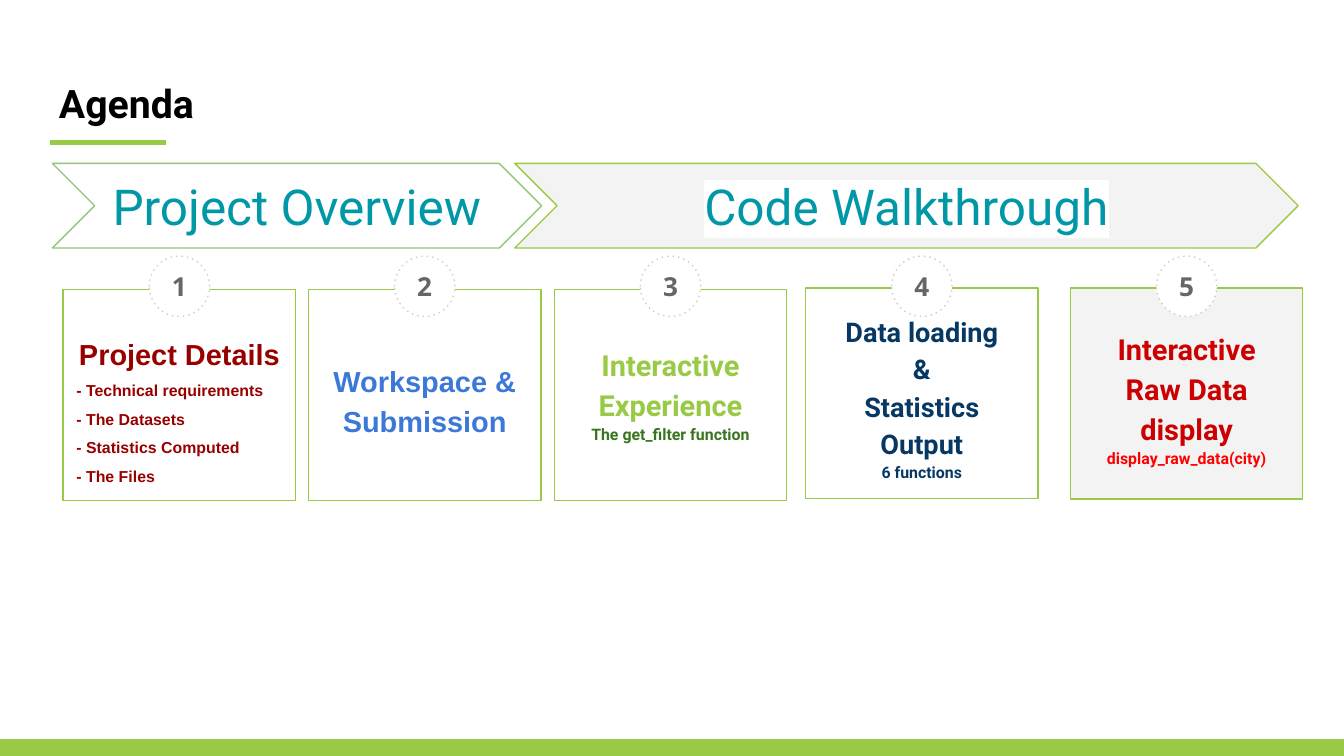
"""Build an agenda slide with two phases above five numbered cards."""
import pptx
import pptx.util
import pptx.dml.color
import pptx.enum.shapes
import pptx.enum.text
import lxml.etree

HUES = {
    "white": "FFFFFF", "black": "000000", "lime": "99CA45", "leaf": "93C47D",
    "mist": "F3F3F3", "dots": "CCCCCC", "gray": "666666", "teal": "0097A7",
    "wine": "980000", "blue": "3C78D8", "moss": "38761D", "navy": "073763",
    "brick": "CC0000", "red": "FF0000",
}
PHASES = [
    ("Project Overview", 3.9, 36.4, "white", "leaf"),
    ("Code Walkthrough", 38.3, 58.3, "mist", "lime"),
]
CARDS = [
    dict(left=4.7, top=21.53, fill="white", body=(0, 22.65, 14.6), font="Arial",
         gap=1.5, mark="white", heads=["Project Details"], size=15.5, hue="wine",
         notes=["- Technical requirements", "- The Datasets",
                "- Statistics Computed", "- The Files"],
         tint="wine", side="LEFT"),
    dict(left=22.95, top=21.53, fill="white", body=(0, 23.55, 12.2),
         font="Arial", mark="white", heads=["Workspace & Submission"],
         size=15.5, hue="blue"),
    dict(left=41.24, top=21.53, fill="white", body=(1, 24.7, 9.1),
         heads=["Interactive Experience"], size=15.5, hue="lime",
         notes=["The get_filter function"], tint="moss"),
    dict(left=59.94, top=21.42, fill="white", body=(1, 24.93, 9.1),
         heads=["Data loading", "&", "Statistics Output"], size=14.5, hue="navy",
         notes=["6 functions"], tint="navy"),
    dict(left=79.64, top=21.44, fill="mist", body=(1, 25, 9.1),
         heads=["Interactive Raw Data display"], size=15.5, hue="brick",
         notes=["display_raw_data(city)"], tint="red"),
]
CARD_W, CARD_H, DISC = 17.3, 15.7, 4.5
COLS, ROWS = 100, 56.25

KINDS = pptx.enum.shapes.MSO_SHAPE
ALIGN = pptx.enum.text.PP_ALIGN
NS = "http://schemas.openxmlformats.org/drawingml/2006/main"

deck = pptx.Presentation()
deck.slide_width = pptx.util.Inches(10)
deck.slide_height = deck.slide_width * 9 // 16
slide = deck.slides.add_slide(deck.slide_layouts[6])
shapes = slide.shapes
unit = deck.slide_width / COLS


def grid(*cells):
    return [round(cell * unit) for cell in cells]


def rgb(name):
    return pptx.dml.color.RGBColor.from_string(HUES[name])


def draw(kind, *cells, fill="white", line="lime", dash=None):
    shape = shapes.add_shape(kind, *grid(*cells))
    shape.shadow.inherit = False
    shape.fill.solid()
    shape.fill.fore_color.rgb = rgb(fill)
    shape.line.color.rgb = rgb(line)
    shape.line.width = pptx.util.Pt(0.75)
    if dash:
        edge = shape._element.spPr.find(f"{{{NS}}}ln")
        lxml.etree.SubElement(edge, f"{{{NS}}}prstDash", val=dash)
    return shape


def write(shape, text, size=14, hue="black", font="Roboto", bold=True,
          side="CENTER", gap=None, mark=None, anchor="MIDDLE"):
    frame = shape.text_frame
    frame.word_wrap = True
    frame.vertical_anchor = getattr(pptx.enum.text.MSO_ANCHOR, anchor)
    frame.margin_left = frame.margin_right = pptx.util.Inches(0.1)
    frame.margin_top = frame.margin_bottom = pptx.util.Inches(0.1)
    para = frame.add_paragraph() if frame.text else frame.paragraphs[0]
    para.alignment = getattr(ALIGN, side)
    if gap:
        para.line_spacing = gap
    run = para.add_run()
    run.text = text
    run.font.size = pptx.util.Pt(size)
    run.font.bold = bold
    run.font.name = font
    run.font.color.rgb = rgb(hue)
    if mark:
        glow = lxml.etree.Element(f"{{{NS}}}highlight")
        lxml.etree.SubElement(glow, f"{{{NS}}}srgbClr", val=HUES[mark])
        run.font._element.find(f"{{{NS}}}solidFill").addnext(glow)


title = shapes.add_textbox(*grid(3.4, 4.9, 93.2, 6.3))
write(title, "Agenda", size=21, side="LEFT", anchor="TOP")

rule = shapes.add_connector(
    pptx.enum.shapes.MSO_CONNECTOR.STRAIGHT, *grid(3.7, 10.6, 12.35, 10.6))
rule.line.color.rgb = rgb("lime")
rule.line.width = pptx.util.Pt(3)
lxml.etree.SubElement(rule._element.spPr, f"{{{NS}}}effectLst")

draw(KINDS.RECTANGLE, 0, ROWS - 1.2, COLS, 1.2, fill="lime")

for text, left, width, fill, line in PHASES:
    arrow = draw(KINDS.CHEVRON, left, 12.16, width, 6.3, fill=fill, line=line)
    write(arrow, text, size=26.5, hue="teal", bold=False, mark="white")

for num, card in enumerate(CARDS, 1):
    left = card["left"]
    draw(KINDS.RECTANGLE, left, card["top"], CARD_W, CARD_H, fill=card["fill"])
    disc = draw(KINDS.OVAL, left + (CARD_W - DISC) / 2, 19.05, DISC, DISC,
                line="dots", dash="dot")
    write(disc, str(num), hue="gray", font="Open Sans")
    inset, top, height = card["body"]
    body = shapes.add_textbox(
        *grid(left + inset, top, CARD_W - 2 * inset, height))
    style = dict(font=card.get("font", "Roboto"), gap=card.get("gap", 1.15),
                 mark=card.get("mark"))
    for text in card["heads"]:
        write(body, text, size=card["size"], hue=card["hue"], **style)
    for text in card.get("notes", []):
        write(body, text, size=8.5, hue=card["tint"],
              side=card.get("side", "CENTER"), **style)

deck.save("out.pptx")
